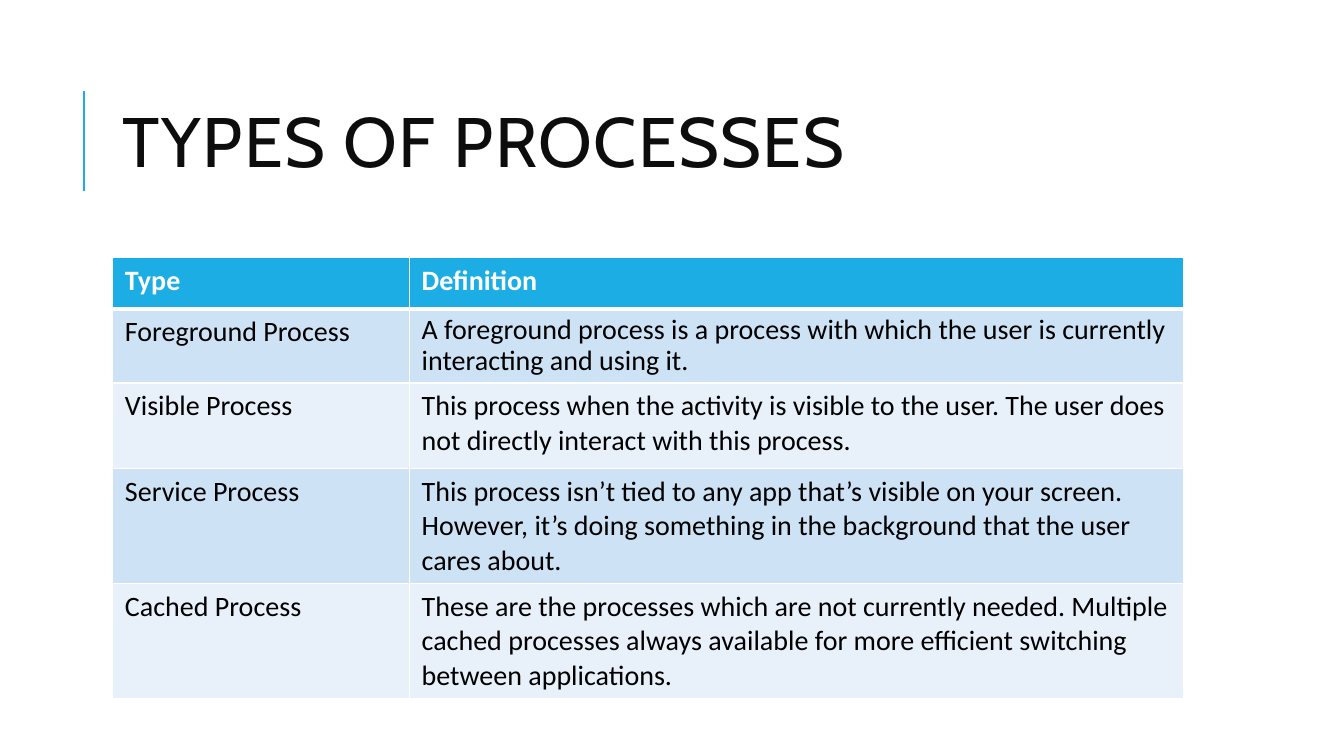
from lxml.etree import SubElement
from pptx import Presentation
from pptx.dml.color import RGBColor
from pptx.enum.shapes import MSO_CONNECTOR
from pptx.enum.text import MSO_ANCHOR, PP_ALIGN
from pptx.oxml.ns import qn
from pptx.util import Inches, Pt

W, H = Inches(13.33), Inches(7.5)
LEFT, WIDTH = 0.084, 0.797
COLORS = {"accent": "1CADE4", "title": "0D0D0D", "white": "FFFFFF",
          "text": "000000", "odd": "CDE3F5", "even": "E8F1FA"}
COL_SHARES = (0.277, 0.723)
ROW_HEIGHTS = (0.51, 0.57, 0.85, 0.85, 0.85)
ROWS = [
    ("Type", "Definition"),
    ("Foreground Process",
     "A foreground process is a process with which the user is currently "
     "interacting and using it."),
    ("Visible Process",
     "This process when the activity is visible to the user. The user does "
     "not directly interact with this process."),
    ("Service Process",
     "This process isn’t tied to any app that’s visible on your screen. However, "
     "it’s doing something in the background that the user cares about."),
    ("Cached Process",
     "These are the processes which are not currently needed. Multiple cached "
     "processes always available for more efficient switching between applications."),
]


def color(name):
    """Return the named colour."""
    return RGBColor.from_string(COLORS[name])


def set_font(p, name, size, shade, bold=False):
    """Format a whole paragraph."""
    f = p.font
    f.name, f.size, f.bold = name, Pt(size), bold
    f.color.rgb = color(shade)


def add_title(s, text):
    """Place and format the slide title."""
    sp = s.shapes.title
    sp.left, sp.top = int(W * LEFT), int(H * 0.085)
    sp.width, sp.height = int(W * WIDTH), int(H * 0.219)
    tf = sp.text_frame
    tf.text, tf.word_wrap = text, True
    tf.vertical_anchor = MSO_ANCHOR.MIDDLE
    p = tf.paragraphs[0]
    p.alignment, p.line_spacing = PP_ALIGN.LEFT, 0.8
    set_font(p, "Cabin", 50, "title")
    p.runs[0].font._element.set("spc", "100")


def add_accent_line(s):
    """Draw the vertical line beside the title."""
    x = int(W * 0.0625)
    line = s.shapes.add_connector(MSO_CONNECTOR.STRAIGHT, x, int(H * 0.253), x, int(H * 0.12))
    line.line.color.rgb = color("accent")
    line.line.width = Pt(1.5)
    SubElement(line._element.spPr, qn("a:effectLst"))


def set_borders(cell, top, bottom):
    """Give a cell white borders, with its top and bottom widths in points."""
    tcPr = cell._tc.get_or_add_tcPr()
    for side, width in zip("LRTB", (1, 1, top, bottom)):
        ln = SubElement(tcPr, qn(f"a:ln{side}"), w=str(Pt(width)))
        SubElement(SubElement(ln, qn("a:solidFill")), qn("a:srgbClr"), val=COLORS["white"])


def fill_cell(cell, text, row):
    """Write and style one cell according to its row."""
    header = row == 0
    set_borders(cell, 3 if row == 1 else 1, 3 if header else 1)
    cell.fill.solid()
    cell.fill.fore_color.rgb = color("accent" if header else "odd" if row % 2 else "even")
    cell.margin_left = cell.margin_right = Inches(0.12)
    cell.margin_top = cell.margin_bottom = Inches(0.06)
    cell.text = text
    set_font(cell.text_frame.paragraphs[0], "Calibri", 20,
             "white" if header else "text", header)


def add_process_table(s):
    """Add the table of process types."""
    table = s.shapes.add_table(len(ROWS), len(COL_SHARES), int(W * LEFT), int(H * 0.341),
                               int(W * WIDTH), Inches(sum(ROW_HEIGHTS))).table
    for col, share in zip(table.columns, COL_SHARES):
        col.width = int(W * WIDTH * share)
    for i, (height, texts) in enumerate(zip(ROW_HEIGHTS, ROWS)):
        table.rows[i].height = Inches(height)
        for j, text in enumerate(texts):
            fill_cell(table.cell(i, j), text, i)
    p = table.cell(1, 1).text_frame.paragraphs[0]
    p.line_spacing, p.space_before, p.space_after = 0.9, Pt(12), Pt(2)


def main():
    """Build and save the slide."""
    prs = Presentation()
    prs.slide_width, prs.slide_height = W, H
    s = prs.slides.add_slide(prs.slide_layouts[5])
    add_accent_line(s)
    add_title(s, "TYPES OF PROCESSES")
    add_process_table(s)
    prs.save("out.pptx")


if __name__ == "__main__":
    main()
